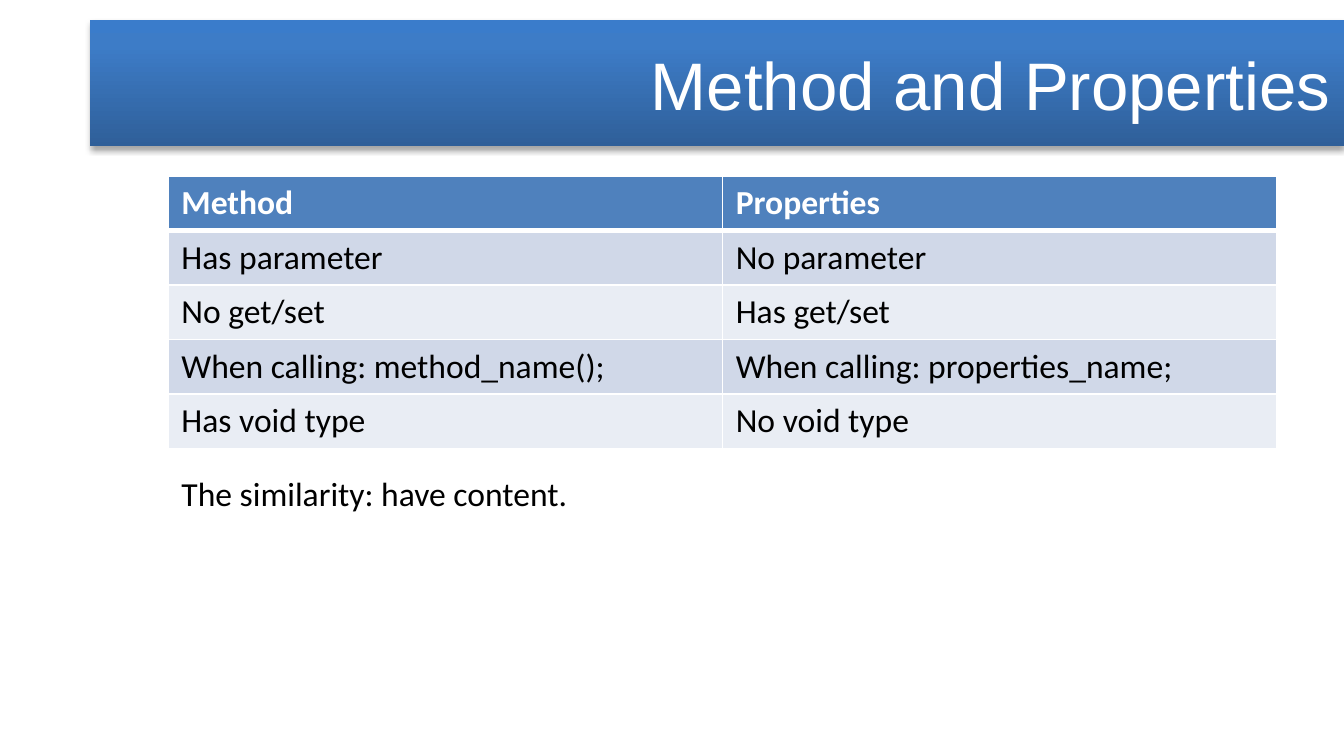
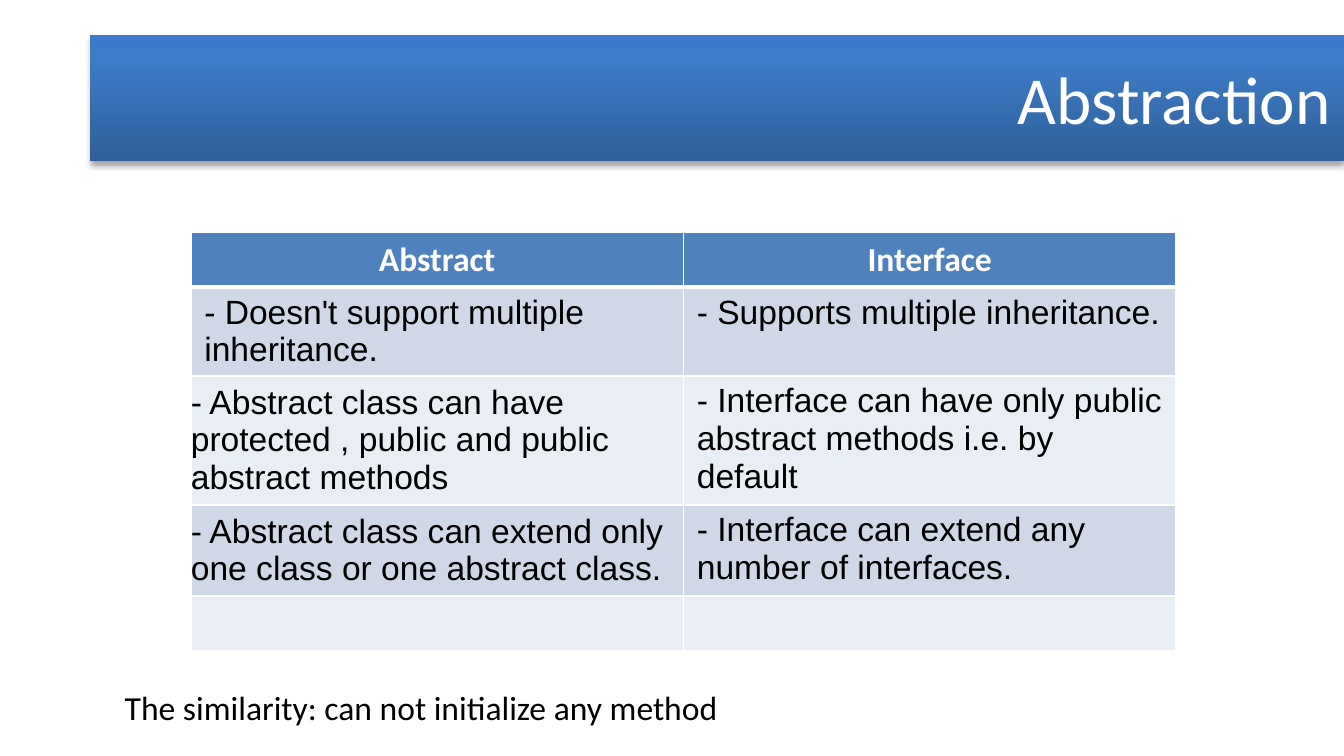
from lxml import etree
from pptx import Presentation
from pptx.dml.color import RGBColor
from pptx.enum.shapes import MSO_SHAPE
from pptx.enum.text import MSO_ANCHOR, MSO_AUTO_SIZE, PP_ALIGN
from pptx.oxml import parse_xml
from pptx.util import Inches, Pt

WHITE, BLACK = "FFFFFF", "000000"
HEADER, BANDS = "4F81BD", ("E9EDF4", "D0D8E8")
ROW_HEIGHT = Pt(29.2)
NAMESPACE = "http://schemas.openxmlformats.org/drawingml/2006/main"

BAND_GRADIENT = f"""<a:gradFill xmlns:a="{NAMESPACE}" rotWithShape="1"><a:gsLst>
<a:gs pos="0"><a:srgbClr val="2F5F99"/></a:gs>
<a:gs pos="80000"><a:srgbClr val="3D7CC7"/></a:gs>
<a:gs pos="100000"><a:srgbClr val="3A7CCB"/></a:gs>
</a:gsLst><a:lin ang="16200000" scaled="0"/></a:gradFill>"""
BAND_SHADOW = f"""<a:effectLst xmlns:a="{NAMESPACE}">
<a:outerShdw blurRad="40000" dist="23000" dir="5400000" rotWithShape="0">
<a:srgbClr val="{BLACK}"><a:alpha val="35000"/></a:srgbClr></a:outerShdw></a:effectLst>"""

SLIDES = [
    {
        "title": "Method and Properties", "title_font": "Arial", "band_top": 0.15,
        "table": (1.25, 1.31, 8.25), "body_font": "Calibri",
        "header_align": PP_ALIGN.LEFT, "flush_rows": (),
        "rows": [
            ("Method", "Properties"),
            ("Has parameter", "No parameter"),
            ("No get/set", "Has get/set"),
            ("When calling: method_name();", "When calling: properties_name;"),
            ("Has void type", "No void type"),
        ],
    },
    {
        "title": "Abstraction", "title_font": "Calibri", "band_top": 0.26,
        "table": (1.42, 1.73, 7.33), "body_font": "Arial",
        "header_align": PP_ALIGN.CENTER, "flush_rows": (2, 3),
        "rows": [
            ("Abstract", "Interface"),
            ("- Doesn't support multiple inheritance.", "- Supports multiple inheritance."),
            ("- Abstract class can have protected , public and public abstract methods",
             "- Interface can have only public abstract methods i.e. by default"),
            ("- Abstract class can extend only one class or one abstract class.",
             "- Interface can extend any number of interfaces."),
            ("", ""),
        ],
    },
]


def write(text_frame, text, font_name, size=18, color=BLACK, bold=False, align=PP_ALIGN.LEFT):
    paragraph = text_frame.paragraphs[0]
    paragraph.text = text
    paragraph.alignment = align
    font = paragraph.font
    font.name, font.size, font.bold = font_name, Pt(size), bold
    font.color.rgb = RGBColor.from_string(color)


def style_cell(cell, fill, borders):
    cell.fill.solid()
    cell.fill.fore_color.rgb = RGBColor.from_string(fill)
    properties = cell._tc.get_or_add_tcPr()
    for index, (side, width) in enumerate(borders.items()):
        line = etree.Element(f"{{{NAMESPACE}}}ln{side}", w=str(Pt(width)))
        solid = etree.SubElement(line, f"{{{NAMESPACE}}}solidFill")
        etree.SubElement(solid, f"{{{NAMESPACE}}}srgbClr", val=WHITE)
        properties.insert(index, line)


presentation = Presentation()
presentation.slide_width = Inches(10)
presentation.slide_height = Inches(10) * 9 // 16
slides = []

for content in SLIDES:
    slide = presentation.slides.add_slide(presentation.slide_layouts[6])
    slides.append(slide)

    band = slide.shapes.add_shape(
        MSO_SHAPE.RECTANGLE, Inches(0.67), Inches(content["band_top"]), Inches(9.33), Inches(0.94))
    band.line.fill.background()
    band_properties = band.element.spPr
    band_properties.insert(2, parse_xml(BAND_GRADIENT))
    band_properties.append(parse_xml(BAND_SHADOW))
    band.text_frame.word_wrap = True
    band.text_frame.vertical_anchor = MSO_ANCHOR.MIDDLE
    write(band.text_frame, content["title"], content["title_font"], 36, WHITE, align=PP_ALIGN.RIGHT)

    rows = content["rows"]
    left, top, width = content["table"]
    table = slide.shapes.add_table(
        len(rows), 2, Inches(left), Inches(top), Inches(width), ROW_HEIGHT * len(rows)).table
    for row_index, row in enumerate(rows):
        is_header = row_index == 0
        borders = {"L": 1, "R": 1, "T": 3 if row_index == 1 else 1, "B": 3 if is_header else 1}
        for column_index, text in enumerate(row):
            cell = table.cell(row_index, column_index)
            style_cell(cell, HEADER if is_header else BANDS[row_index % 2], borders)
            if is_header:
                write(cell.text_frame, text, "Calibri", color=WHITE, bold=True,
                      align=content["header_align"])
            else:
                write(cell.text_frame, text, content["body_font"])
            if column_index == 0 and row_index in content["flush_rows"]:
                cell.vertical_anchor = MSO_ANCHOR.MIDDLE
                cell.margin_left = cell.margin_right = 0
                cell.margin_top = cell.margin_bottom = Inches(0.06)

method_slide, abstraction_slide = slides

similarity_table = method_slide.shapes.add_table(
    1, 1, Inches(1.25), Inches(3.48), Inches(8.25), Inches(0.4)).table
similarity_table.first_row = similarity_table.horz_banding = False
similarity_cell = similarity_table.cell(0, 0)
similarity_cell.vertical_anchor = MSO_ANCHOR.MIDDLE
style_cell(similarity_cell, WHITE, {})
write(similarity_cell.text_frame, "The similarity: have content.", "Calibri")

similarity_box = abstraction_slide.shapes.add_textbox(
    Inches(0.83), Inches(5.06), Inches(4.67), Inches(0.4))
similarity_box.text_frame.word_wrap = False
similarity_box.text_frame.auto_size = MSO_AUTO_SIZE.SHAPE_TO_FIT_TEXT
write(similarity_box.text_frame, "The similarity: can not initialize any method", "Calibri")

presentation.save("out.pptx")
